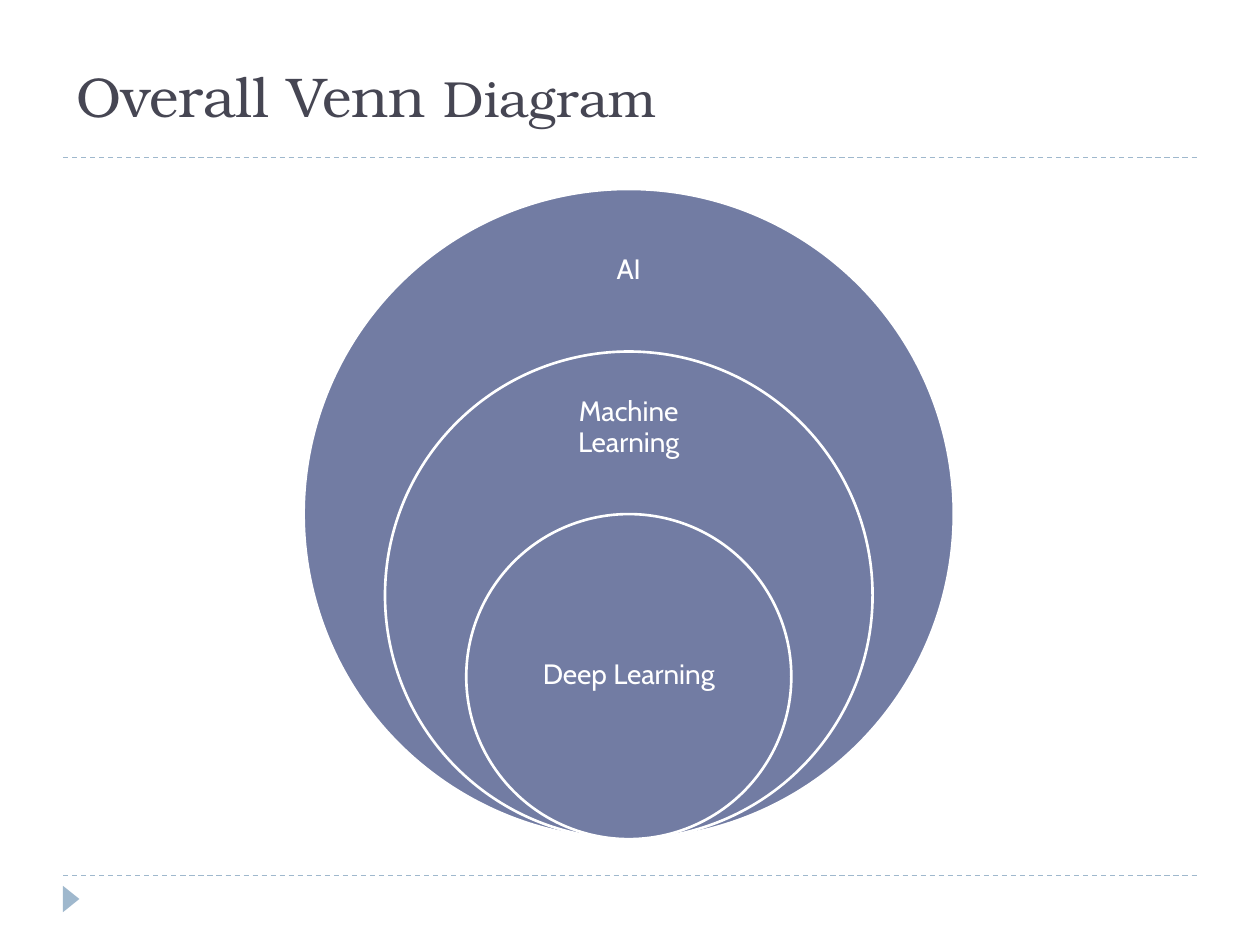
import pptx
import pptx.util
import pptx.dml.color
import pptx.enum.dml
import pptx.enum.shapes
import pptx.enum.text
import pptx.oxml.ns
import lxml.etree

Pt = pptx.util.Pt
SHAPE = pptx.enum.shapes.MSO_SHAPE
ALIGN = pptx.enum.text.PP_ALIGN
ANCHOR = pptx.enum.text.MSO_ANCHOR

COLORS = {"title": "464653", "ring": "727CA3", "rule": "9FB8CD", "white": "FFFFFF"}
TITLE = [("Overall Venn ", 32), ("Diagram", 29)]
RINGS = [
    ("AI", 1, (126.7, 129.6, 55.4)),
    ("Machine Learning", 0.75, (218.2, 129.6, 52.6)),
    ("Deep Learning", 0.5, (339.8, 131, 92.9)),
]
RULES = [90, 500.4]
MID, BASE, SIZE = 359.3, 479.5, 371.5

deck = pptx.Presentation()
deck.slide_width, deck.slide_height = Pt(720), Pt(540)
slide = deck.slides.add_slide(deck.slide_layouts[6])


def color(name):
    return pptx.dml.color.RGBColor.from_string(COLORS[name])


def add_text(runs, left, top, width, height, *, font, ink, anchor,
             align=ALIGN.LEFT, inset=(7.2, 3.6), spacing=1):
    box = slide.shapes.add_textbox(Pt(left), Pt(top), Pt(width), Pt(height))
    frame = box.text_frame
    frame.word_wrap = True
    frame.vertical_anchor = anchor
    frame.margin_left = frame.margin_right = Pt(inset[0])
    frame.margin_top = frame.margin_bottom = Pt(inset[1])
    para = frame.paragraphs[0]
    para.alignment, para.line_spacing = align, spacing
    for words, size in runs:
        run = para.add_run()
        run.text = words
        run.font.name, run.font.size = font, Pt(size)
        run.font.color.rgb = color(ink)


def add_form(kind, left, top, width, height, fill):
    form = slide.shapes.add_shape(kind, Pt(left), Pt(top), Pt(width), Pt(height))
    form.shadow.inherit = False
    form.fill.solid()
    form.fill.fore_color.rgb = color(fill)
    form.line.fill.background()
    return form


for top in RULES:
    rule = slide.shapes.add_connector(
        pptx.enum.shapes.MSO_CONNECTOR.STRAIGHT, Pt(36), Pt(top), Pt(684), Pt(top))
    rule.line.color.rgb = color("rule")
    rule.line.width = Pt(0.75)
    rule.line.dash_style = pptx.enum.dml.MSO_LINE.DASH
    lxml.etree.SubElement(rule._element.spPr, pptx.oxml.ns.qn("a:effectLst"))

marker = add_form(SHAPE.ISOSCELES_TRIANGLE, 33.1, 509, 15.1, 9.4, "rule")
marker.rotation = 90

add_text(TITLE, 36.7, 28.8, 641.5, 48.2, font="TeX Gyre Bonum", ink="title",
         anchor=ANCHOR.BOTTOM)

for label, scale, (top, width, height) in RINGS:
    span = SIZE * scale
    ring = add_form(SHAPE.OVAL, MID - span / 2, BASE - span, span, span, "ring")
    ring.line.color.rgb = color("white")
    ring.line.width = Pt(1.5)
    add_text([(label, 16)], MID - width / 2, top, width, height, font="Cabin",
             ink="white", anchor=ANCHOR.MIDDLE, align=ALIGN.CENTER,
             inset=(8.6, 8.6), spacing=0.9)

deck.save("out.pptx")
